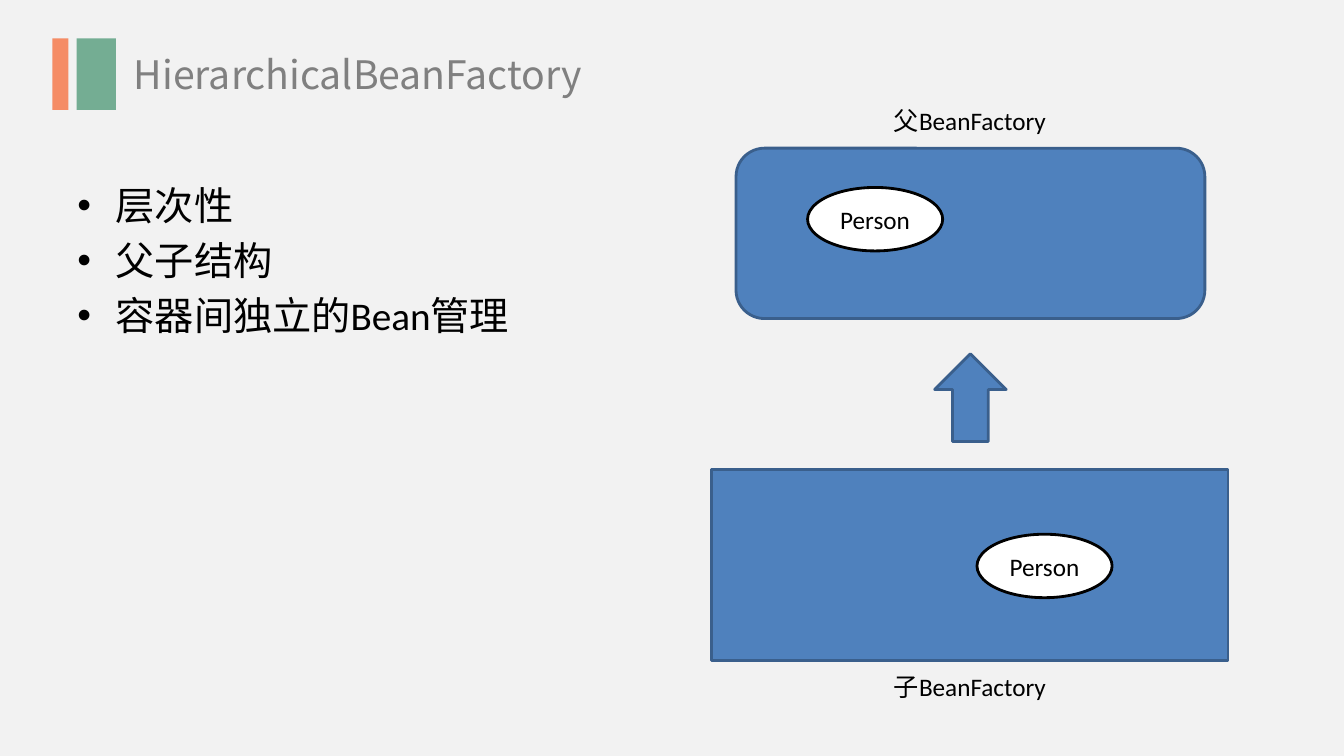
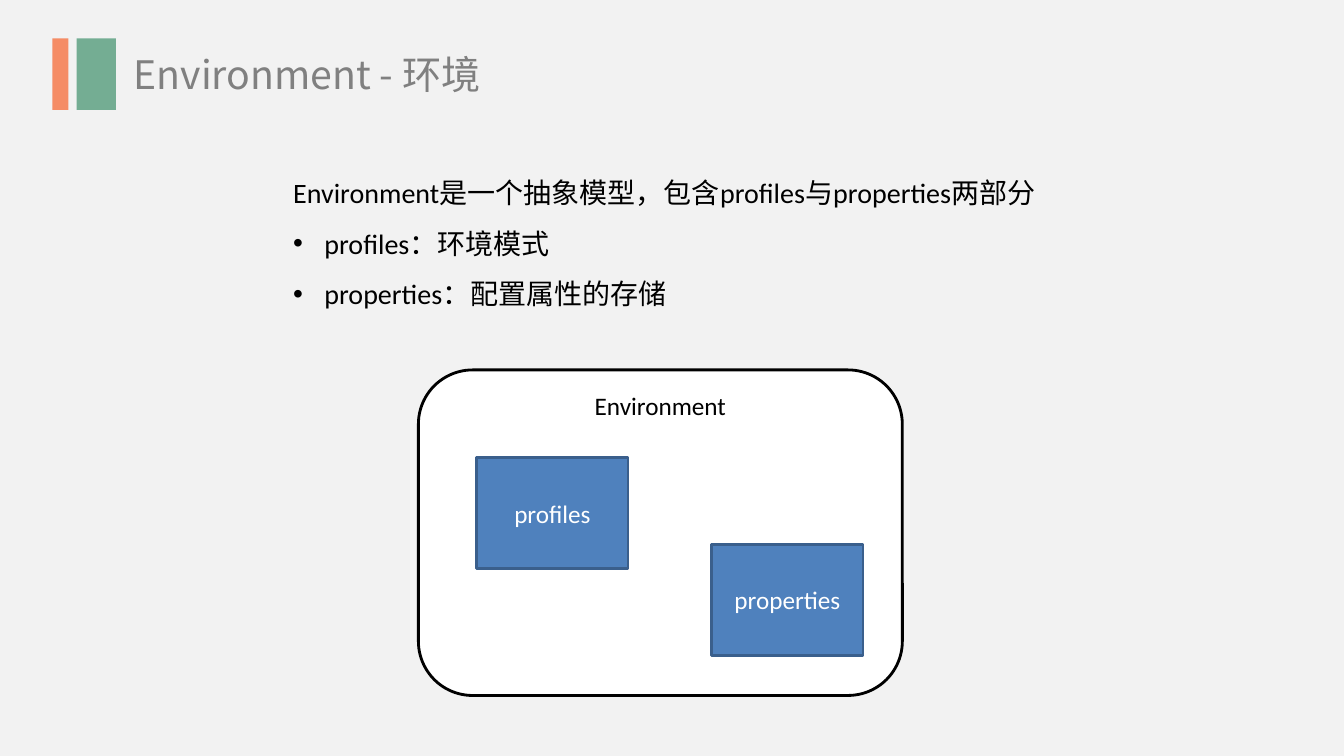
from dataclasses import dataclass
from typing import Optional

from lxml import etree
from pptx import Presentation
from pptx.dml.color import RGBColor
from pptx.enum.shapes import MSO_SHAPE
from pptx.enum.text import MSO_ANCHOR, MSO_AUTO_SIZE, PP_ALIGN
from pptx.oxml.ns import qn
from pptx.shapes.autoshape import Shape
from pptx.slide import Slide
from pptx.text.text import TextFrame
from pptx.util import Inches, Pt

RECT = MSO_SHAPE.RECTANGLE
ROUND = MSO_SHAPE.ROUNDED_RECTANGLE
OVAL = MSO_SHAPE.OVAL
ARROW = MSO_SHAPE.UP_ARROW
TOP, MIDDLE = MSO_ANCHOR.TOP, MSO_ANCHOR.MIDDLE
LEFT, CENTER = PP_ALIGN.LEFT, PP_ALIGN.CENTER
GROW = MSO_AUTO_SIZE.SHAPE_TO_FIT_TEXT

COLORS = {
    "page": "F2F2F2", "coral": "F58C65", "green": "74AD93", "title": "808080",
    "blue": "4F81BD", "edge": "3A5F8C", "white": "FFFFFF", "black": "000000",
}
BODY_FONT = "Calibri"
TITLE_FONT = "Noto Sans CJK SC"


@dataclass(frozen=True)
class Box:
    left: float
    top: float
    width: float
    height: float

    def place(self) -> tuple:
        return tuple(Inches(n) for n in (self.left, self.top, self.width, self.height))


@dataclass(frozen=True)
class Style:
    size: float = 18
    color: str = "black"
    font: str = BODY_FONT
    align: PP_ALIGN = LEFT
    before: float = 0
    line: Optional[float] = None


@dataclass(frozen=True)
class Line:
    text: str
    indent: float = 0


@dataclass(frozen=True)
class Node:
    kind: MSO_SHAPE
    box: Box
    fill: str = "blue"
    edge: Optional[str] = "edge"
    text: str = ""
    ink: str = "white"
    anchor: MSO_ANCHOR = MIDDLE


def color(name: str) -> RGBColor:
    return RGBColor.from_string(COLORS[name])


# Text
def write(frame: TextFrame, lines: list[Line], style: Style) -> None:
    for i, line in enumerate(lines):
        para = frame.paragraphs[0] if i == 0 else frame.add_paragraph()
        para.alignment = style.align
        para.space_before = Pt(style.before)
        if style.line:
            para.line_spacing = style.line
        run = para.add_run()
        run.text = line.text
        run.font.size = Pt(style.size)
        run.font.name = style.font
        run.font.color.rgb = color(style.color)
        if style.font == TITLE_FONT:
            etree.SubElement(run.font._element, qn("a:ea"), typeface=style.font)
        if line.indent:
            props = para._p.get_or_add_pPr()
            props.set("marL", str(Inches(line.indent)))
            props.set("indent", str(-Inches(line.indent)))
            etree.SubElement(props, qn("a:buFont"), typeface="Arial")
            etree.SubElement(props, qn("a:buChar"), char="•")


def label(slide: Slide, box: Box, lines: list[Line], style: Style,
          wrap: bool = True, grow: bool = True) -> None:
    frame = slide.shapes.add_textbox(*box.place()).text_frame
    frame.word_wrap = wrap
    if grow:
        frame.auto_size = GROW
    write(frame, lines, style)


# Shapes
def draw(shapes, node: Node) -> Shape:
    shape = shapes.add_shape(node.kind, *node.box.place())
    shape.shadow.inherit = False
    shape.fill.solid()
    shape.fill.fore_color.rgb = color(node.fill)
    if node.edge:
        shape.line.color.rgb = color(node.edge)
        shape.line.width = Pt(2)
    else:
        shape.line.fill.background()
    if node.text:
        shape.text_frame.vertical_anchor = node.anchor
        write(shape.text_frame, [Line(node.text)], Style(color=node.ink, align=CENTER))
    return shape


# Shared page: background, two bars and title
BARS = [
    Node(RECT, Box(0.52, 0.38, 0.16, 0.71), "coral", None),
    Node(RECT, Box(0.76, 0.38, 0.39, 0.71), "green", None),
]
TITLE = Style(28, "title", TITLE_FONT)


def page(deck, title: str, width: float) -> Slide:
    slide = deck.slides.add_slide(deck.slide_layouts[6])
    slide.background.fill.solid()
    slide.background.fill.fore_color.rgb = color("page")
    group = slide.shapes.add_group_shape()
    for bar in BARS:
        draw(group.shapes, bar)
    label(slide, Box(1.23, 0.45, width, 0.57), [Line(title)], TITLE, wrap=False)
    return slide


# Parent and child factories
def bean(left: float, top: float) -> Node:
    return Node(OVAL, Box(left, top, 1.34, 0.63), "white", "black", "Person", "black")


def factory(deck) -> None:
    slide = page(deck, "HierarchicalBeanFactory", 4.71)
    points = ["层次性", "父子结构", "容器间独立的Bean管理"]
    label(slide, Box(0.67, 1.75, 12, 4.95), [Line(text, 0.38) for text in points],
          Style(28, before=5.6), grow=False)
    nodes = [
        Node(RECT, Box(7.06, 4.66, 5.12, 1.89)),
        Node(ARROW, Box(9.27, 3.51, 0.71, 0.87)),
        Node(ROUND, Box(7.3, 1.47, 4.65, 1.69)),
        bean(8.01, 1.86),
        bean(9.69, 5.3),
    ]
    for node in nodes:
        draw(slide.shapes, node)
    for text, top in (("父BeanFactory", 1), ("子BeanFactory", 6.61)):
        label(slide, Box(8.36, top, 2.52, 0.4), [Line(text)], Style(align=CENTER))


# Environment and its two parts
def setting(deck) -> None:
    slide = page(deck, "Environment - 环境", 3.77)
    nodes = [
        Node(ROUND, Box(4.15, 3.67, 4.8, 3.23), "white", "black",
             "Environment", "black", TOP),
        Node(RECT, Box(4.73, 4.54, 1.5, 1.1), text="profiles"),
        Node(RECT, Box(7.06, 5.4, 1.5, 1.1), text="properties"),
    ]
    for node in nodes:
        draw(slide.shapes, node)
    lines = [
        Line("Environment是一个抽象模型，包含profiles与properties两部分"),
        Line("profiles：环境模式", 0.31),
        Line("properties：配置属性的存储", 0.31),
    ]
    label(slide, Box(2.81, 1.53, 8.27, 1.56), lines, Style(20, line=1.5))


deck = Presentation()
deck.slide_width, deck.slide_height = Inches(13.33), Inches(7.5)
factory(deck)
setting(deck)
deck.save("out.pptx")
